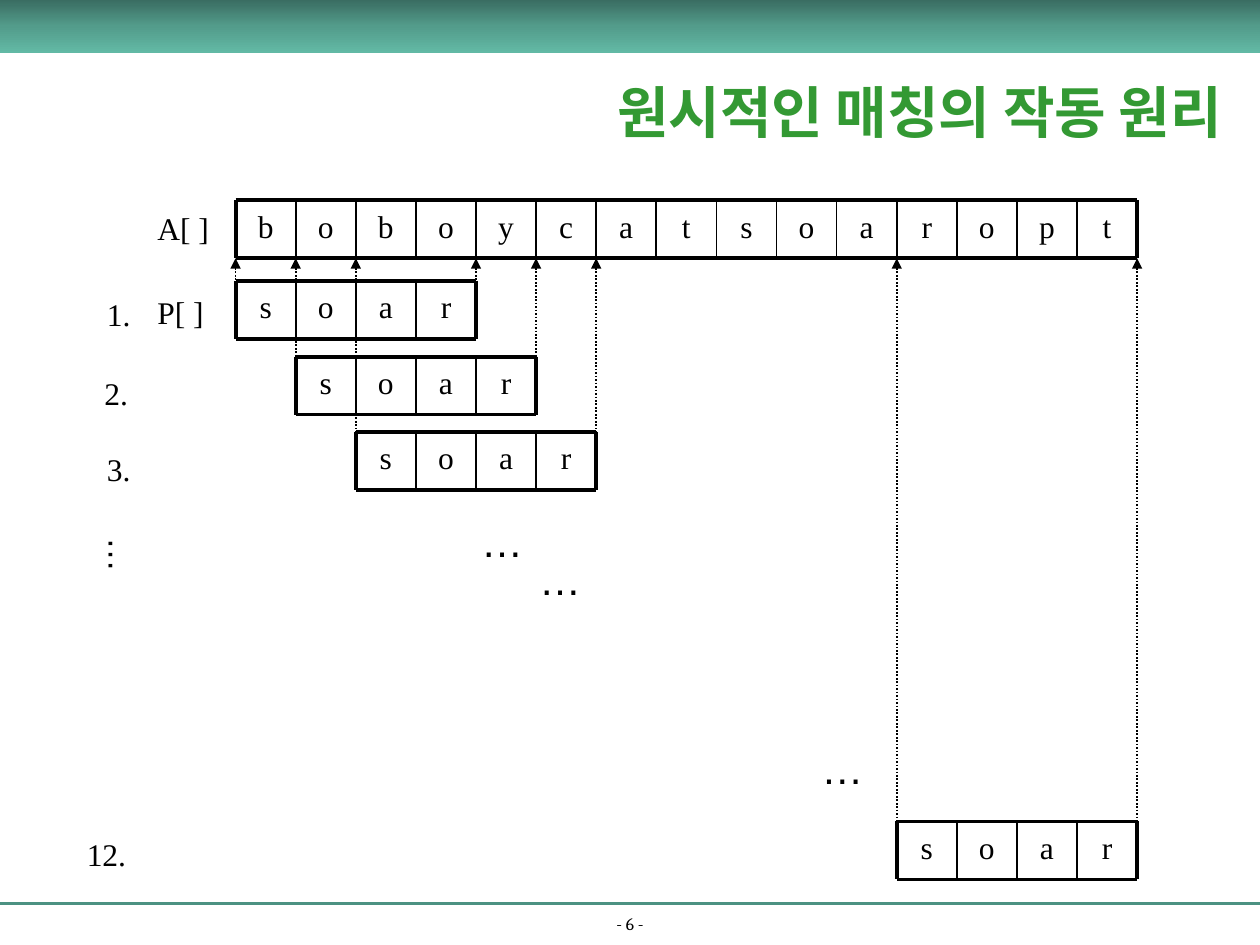
from copy import deepcopy

from pptx import Presentation
from pptx.dml.color import RGBColor
from pptx.enum.dml import MSO_LINE
from pptx.enum.shapes import MSO_CONNECTOR, MSO_SHAPE
from pptx.enum.text import MSO_ANCHOR, PP_ALIGN
from pptx.oxml.ns import qn
from pptx.util import Inches, Pt
from lxml import etree

DOT = MSO_LINE.ROUND_DOT
LINE = MSO_CONNECTOR.STRAIGHT
RECT = MSO_SHAPE.RECTANGLE
MID = MSO_ANCHOR.MIDDLE
LOW = MSO_ANCHOR.BOTTOM
LEFT = PP_ALIGN.LEFT
MIDST = PP_ALIGN.CENTER

BLACK = RGBColor(0, 0, 0)
GREEN = RGBColor(0x33, 0x99, 0x33)
RULE = RGBColor(0x4C, 0x92, 0x82)
SHADES = [
    (0, RGBColor(0x3A, 0x6D, 0x62)),
    (0.5, RGBColor(0x53, 0x9C, 0x8B)),
    (1, RGBColor(0x62, 0xB9, 0xA5)),
]
SERIF, SANS, HEAD = "Times New Roman", "Arial", "Cambria"

TITLE = "원시적인 매칭의 작동 원리"
PAGE = "- 6 -"
TEXT, WORD = "boboycatsoaropt", "soar"
CELL, TALL = 0.477, 0.46
START, TOP = 1.87, 1.59
TRIES = [(0, 2.23), (1, 2.83), (2, 3.43), (11, 6.52)]
LABELS = [
    ("A[ ]", 1.15, 1.61, 0.61),
    ("P[ ]", 1.15, 2.28, 0.57),
    ("1.", 0.75, 2.29, 0.39),
    ("2.", 0.73, 2.92, 0.39),
    ("3.", 0.75, 3.52, 0.39),
    ("12.", 0.59, 6.58, 0.51),
]
DOTS = [(3.72, 4.04), (4.18, 4.34), (6.42, 5.84)]

deck = Presentation()
deck.slide_width, deck.slide_height = Inches(10), Inches(7.5)
slide = deck.slides.add_slide(deck.slide_layouts[5])
shapes = slide.shapes


def style(para, size, name, color=BLACK, bold=False, align=LEFT):
    para.alignment = align
    font = para.font
    font.size, font.name, font.bold = Pt(size), name, bold
    font.color.rgb = color


def write(text, x, y, w, h, size=18, name=SERIF, align=LEFT, wrap=False):
    box = shapes.add_textbox(Inches(x), Inches(y), Inches(w), Inches(h))
    frame = box.text_frame
    frame.word_wrap = wrap
    frame.text = text
    style(frame.paragraphs[0], size, name, align=align)
    return frame


def draw(x1, y1, x2, y2, width, color=BLACK):
    line = shapes.add_connector(
        LINE, Inches(x1), Inches(y1), Inches(x2), Inches(y2))
    line.line.width = Pt(width)
    line.line.color.rgb = color
    etree.SubElement(line._element.spPr, qn("a:effectLst"))
    return line


def strip(word, x, y):
    count = len(word)
    end = x + count * CELL
    for i, char in enumerate(word):
        write(char, x + i * CELL, y, CELL, TALL, align=MIDST, wrap=True)
    for edge in (y, y + TALL):
        draw(x, edge, end, edge, 2.25)
    for i in range(count + 1):
        side = x + i * CELL
        draw(side, y, side, y + TALL, 2.25 if i in (0, count) else 1)


def point(x, y):
    line = draw(x, TOP + TALL, x, y, 1)
    line.line.dash_style = DOT
    ln = line.line._get_or_add_ln()
    etree.SubElement(ln, qn("a:headEnd"), type="triangle")


draw(0, 7.17, 10, 7.17, 1.5, RULE)
foot = write(PAGE, 0, 7.24, 10, 0.22, 10, HEAD, MIDST, True)
foot.vertical_anchor = LOW
foot.paragraphs[0].line_spacing = 0.8

band = shapes.add_shape(RECT, 0, 0, Inches(10), Inches(0.42))
band.shadow.inherit = False
band.line.fill.background()
band.fill.gradient()
band.fill.gradient_angle = 270
stops = band._element.spPr.find(qn("a:gradFill")).find(qn("a:gsLst"))
stops.insert(1, deepcopy(stops[0]))
for stop, (place, color) in zip(band.fill.gradient_stops, SHADES):
    stop.position = place
    stop.color.rgb = color

title = shapes.title
title.left, title.top = Inches(4.6), Inches(0.42)
title.width, title.height = Inches(5.4), Inches(0.93)
title.text_frame.text = TITLE
title.text_frame.vertical_anchor = MID
style(title.text_frame.paragraphs[0], 32, HEAD, GREEN, True, MIDST)

strip(TEXT, START, TOP)
for shift, y in TRIES:
    x = START + shift * CELL
    strip(WORD, x, y)
    for side in (x, x + len(WORD) * CELL):
        point(side, y)

for text, x, y, w in LABELS:
    write(text, x, y, w, 0.4)
for x, y in DOTS:
    write("…", x, y, 0.53, 0.5, 24, SANS)
tall = write("…", 0.66, 4.17, 0.53, 0.38, 20, SANS)
tall._txBody.bodyPr.set("vert", "eaVert")

deck.save("out.pptx")
